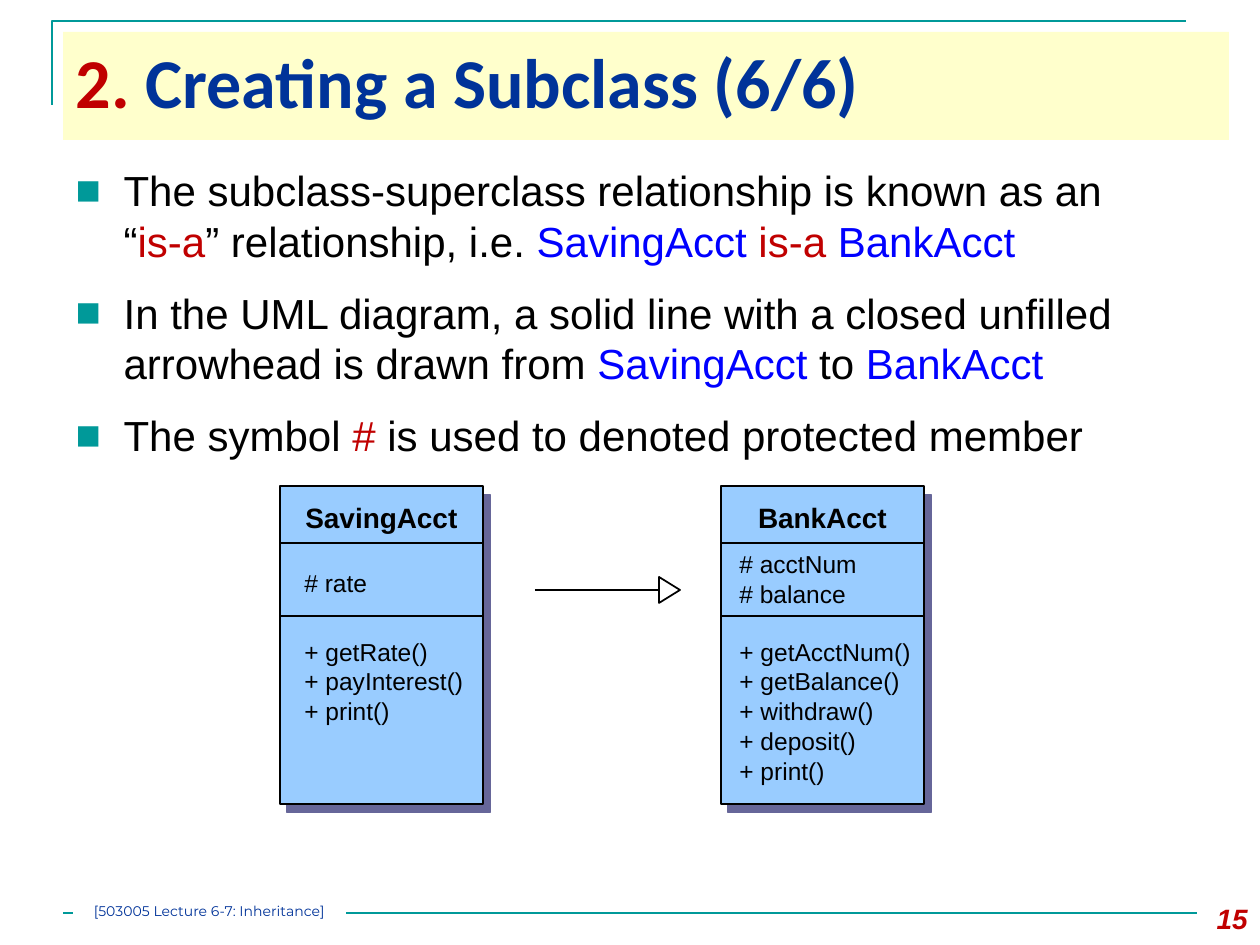
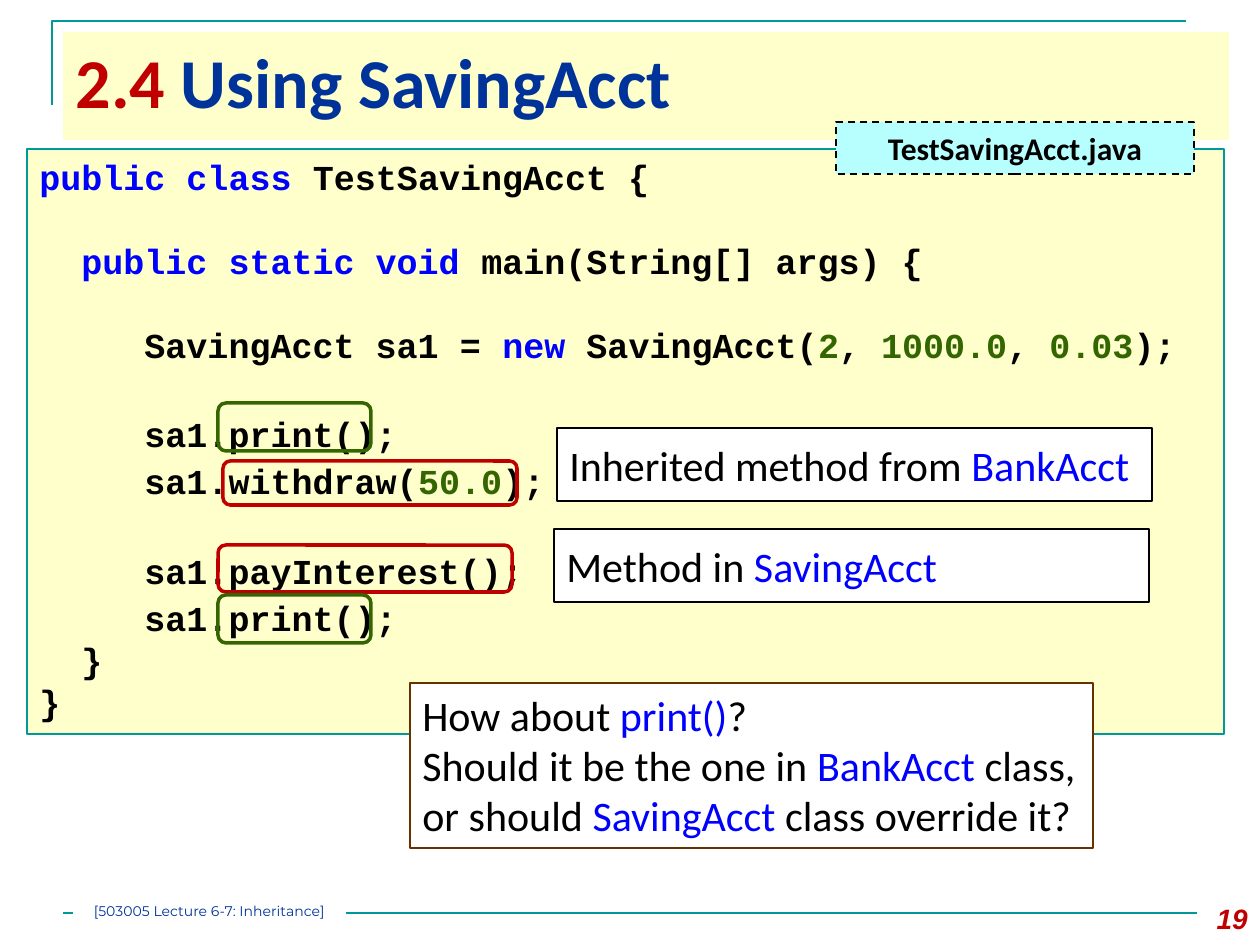
from dataclasses import dataclass

from lxml import etree
from pptx import Presentation
from pptx.dml.color import RGBColor
from pptx.enum.dml import MSO_LINE
from pptx.enum.shapes import MSO_CONNECTOR, MSO_SHAPE
from pptx.enum.text import MSO_ANCHOR, MSO_AUTO_SIZE, PP_ALIGN
from pptx.oxml.ns import qn
from pptx.util import Emu, Pt

RECT, ROUNDED, TRIANGLE = MSO_SHAPE.RECTANGLE, MSO_SHAPE.ROUNDED_RECTANGLE, MSO_SHAPE.ISOSCELES_TRIANGLE
STRAIGHT = MSO_CONNECTOR.STRAIGHT
DASH = MSO_LINE.DASH
LEFT, CENTER, RIGHT = PP_ALIGN.LEFT, PP_ALIGN.CENTER, PP_ALIGN.RIGHT
TOP, MIDDLE = MSO_ANCHOR.TOP, MSO_ANCHOR.MIDDLE
NO_AUTOFIT = MSO_AUTO_SIZE.NONE

PX_PER_INCH = 126
TITLE_AND_BODY, TITLE_ONLY = 1, 5


@dataclass(frozen=True)
class Type:
    font: str
    size: int
    bold: bool = False
    italic: bool = False
    leading: int = 0


@dataclass(frozen=True)
class Theme:
    black: str = "000000"
    white: str = "FFFFFF"
    teal: str = "009999"
    cream: str = "FFFFCC"
    navy: str = "003399"
    red: str = "C00000"
    blue: str = "0000FF"
    green: str = "336600"
    brown: str = "663300"
    sky: str = "99CCFF"
    aqua: str = "B7FFFF"
    shadow: str = "666699"
    title: Type = Type("Calibri", 40, bold=True)
    body: Type = Type("Arial", 24, leading=29)
    callout: Type = Type("Calibri", 24)
    file_tag: Type = Type("Calibri", 18, bold=True)
    code: Type = Type("Courier New", 20, bold=True, leading=24)
    class_name: Type = Type("Arial", 16, bold=True)
    member: Type = Type("Arial", 14, leading=17)
    footer: Type = Type("Montserrat", 8)
    page: Type = Type("Arial", 16, bold=True, italic=True)


T = Theme()


def px(*lengths):
    return [Emu(round(n * 914400 / PX_PER_INCH)) for n in lengths]


def rgb(color):
    return RGBColor.from_string(color)


def write_paragraph(p, runs, style, align=LEFT, before=0):
    """Fill a paragraph from plain strings (black) and (text, colour) pairs."""
    p.alignment = align
    p.space_before, p.space_after = Pt(before), Pt(0)
    if style.leading:
        p.line_spacing = Pt(style.leading)
    for run in runs:
        text, color = (run, T.black) if isinstance(run, str) else run
        r = p.add_run()
        r.text = text
        r.font.name, r.font.size = style.font, Pt(style.size)
        r.font.bold, r.font.italic = style.bold, style.italic
        r.font.color.rgb = rgb(color)


def write(tf, paragraphs, style, align=LEFT, anchor=TOP, wrap=True, gaps=None):
    """Write one list of runs per paragraph; gaps holds the points before each."""
    tf.word_wrap, tf.auto_size, tf.vertical_anchor = wrap, NO_AUTOFIT, anchor
    for i, runs in enumerate(paragraphs):
        p = tf.paragraphs[0] if i == 0 else tf.add_paragraph()
        write_paragraph(p, runs, style, align, gaps[i] if gaps else 0)


def add_text(slide, box, paragraphs, style, **layout):
    sp = slide.shapes.add_textbox(*px(*box))
    write(sp.text_frame, paragraphs, style, **layout)


def add_panel(slide, box, fill=None, line=None, width=1, kind=RECT):
    sp = slide.shapes.add_shape(kind, *px(*box))
    sp.shadow.inherit = False
    if fill:
        sp.fill.solid()
        sp.fill.fore_color.rgb = rgb(fill)
    else:
        sp.fill.background()
    if line:
        sp.line.color.rgb = rgb(line)
        sp.line.width = Pt(width)
    else:
        sp.line.fill.background()
    return sp


def add_line(slide, x1, y1, x2, y2, color, width):
    line = slide.shapes.add_connector(STRAIGHT, *px(x1, y1, x2, y2))
    line.line.color.rgb = rgb(color)
    line.line.width = Pt(width)
    etree.SubElement(line._element.spPr, qn("a:effectLst"))


def add_drop_shadow(sp):
    effects = sp._element.spPr.find(qn("a:effectLst"))
    shadow = etree.SubElement(effects, qn("a:outerShdw"), dist=str(Pt(6.4)),
                              dir=str(51 * 60000), algn="ctr", rotWithShape="0")
    etree.SubElement(shadow, qn("a:srgbClr"), val=T.shadow)


def add_bullet(p):
    pPr = p._p.get_or_add_pPr()
    indent = px(48)[0]
    pPr.set("marL", str(indent))
    pPr.set("indent", str(-indent))
    color = etree.SubElement(pPr, qn("a:buClr"))
    etree.SubElement(color, qn("a:srgbClr"), val=T.teal)
    etree.SubElement(pPr, qn("a:buFont"), typeface="Arial")
    etree.SubElement(pPr, qn("a:buChar"), char="■")


def place(sp, box):
    sp.left, sp.top, sp.width, sp.height = px(*box)


def add_corner_frame(slide):
    (x, y), (right, bottom) = px(52, 21), px(1186, 105)
    outline = slide.shapes.build_freeform(x, bottom)
    outline.add_line_segments([(x, y), (right, y)], close=False)
    sp = outline.convert_to_shape()
    sp.shadow.inherit = False
    sp.fill.background()
    sp.line.color.rgb = rgb(T.teal)
    sp.line.width = Pt(1.5)


def add_base_slide(prs, layout, number, heading, page):
    """Slide with the frame, title band, footer rule and page number."""
    slide = prs.slides.add_slide(prs.slide_layouts[layout])
    title = slide.shapes.title
    place(title, (63, 32, 1166, 108))
    title.fill.solid()
    title.fill.fore_color.rgb = rgb(T.cream)
    write(title.text_frame, [[(number + " ", T.red), (heading, T.navy)]], T.title)

    add_corner_frame(slide)
    add_line(slide, 63, 913, 1197, 913, T.teal, 1.5)
    label = add_panel(slide, (73, 903, 273, 23), T.white)
    tf = label.text_frame
    tf.margin_left = tf.margin_right = tf.margin_top = tf.margin_bottom = 0
    write(tf, [[("[503005 Lecture 6-7: Inheritance]", T.navy)]], T.footer, align=CENTER)
    add_text(slide, (1176, 895, 84, 50), [[(page, T.red)]], T.page, align=RIGHT)
    return slide


def add_bullets(slide, items):
    body = slide.placeholders[1]
    place(body, (63, 158, 1102, 724))
    tf = body.text_frame
    for _ in items[1:]:
        tf.add_paragraph()
    tf.word_wrap, tf.auto_size, tf.vertical_anchor = True, NO_AUTOFIT, TOP
    for i, (p, runs) in enumerate(zip(tf.paragraphs, items)):
        add_bullet(p)
        write_paragraph(p, runs, T.body, before=12 if i else 0)


def add_uml_class(slide, x, name, attributes, methods, text_x, attributes_y):
    top, width, height = 486, 203, 318
    add_drop_shadow(add_panel(slide, (x, top, width, height), T.sky, T.black, 0.75))
    for y in (543, 616):
        add_line(slide, x, y, x + width, y, T.black, 0.75)
    add_text(slide, (x, top + 8, width, 46), [[name]], T.class_name, align=CENTER)
    for y, members in ((attributes_y, attributes), (630, methods)):
        box = (text_x, y, x + width - text_x, 13 + 30 * len(members))
        add_text(slide, box, [[m] for m in members], T.member, wrap=False)


def add_inheritance_arrow(slide, x1, x2, y):
    base, height = 26, 21
    add_line(slide, x1, y, x2 - height, y, T.black, 1)
    head_box = (x2 - (height + base) / 2, y - height / 2, base, height)
    add_panel(slide, head_box, T.white, T.black, kind=TRIANGLE).rotation = 90


def add_code(slide, box, lines):
    """Write (points before, runs) lines of code in a framed panel."""
    gaps, runs = zip(*lines)
    sp = add_panel(slide, box, T.cream, T.teal, 0.75)
    write(sp.text_frame, runs, T.code, gaps=gaps)


def add_callout(slide, box, paragraphs, line=T.black, width=1, anchor=MIDDLE):
    sp = add_panel(slide, box, T.white, line, width)
    write(sp.text_frame, paragraphs, T.callout, anchor=anchor)


def build_subclass_slide(prs):
    slide = add_base_slide(prs, TITLE_AND_BODY, "2.", "Creating a Subclass (6/6)", "15")
    saving, bank = ("SavingAcct", T.blue), ("BankAcct", T.blue)
    add_bullets(slide, [
        ["The subclass-superclass relationship is known as an “", ("is-a", T.red),
         "” relationship, i.e. ", saving, (" is-a ", T.red), bank],
        ["In the UML diagram, a solid line with a closed unfilled arrowhead is drawn from ",
         saving, " to ", bank],
        ["The symbol ", ("#", T.red), " is used to denoted protected member"],
    ])
    add_uml_class(slide, 280, "SavingAcct", ["# rate"],
                  ["+ getRate()", "+ payInterest()", "+ print()"], 292, 561)
    add_uml_class(slide, 721, "BankAcct", ["# acctNum", "# balance"],
                  ["+ getAcctNum()", "+ getBalance()", "+ withdraw()", "+ deposit()", "+ print()"],
                  727, 543)
    add_inheritance_arrow(slide, 535, 680, 590)


def build_usage_slide(prs):
    slide = add_base_slide(prs, TITLE_ONLY, "2.4", "Using SavingAcct", "19")
    blank, step = T.code.leading, 3
    add_code(slide, (27, 149, 1197, 585), [
        (0, [("public class", T.blue), " TestSavingAcct {"]),
        (blank, [("  public static void ", T.blue), "main(String[] args) {"]),
        (blank, ["     SavingAcct sa1 = ", ("new", T.blue), " SavingAcct(", ("2", T.green),
                 ", ", ("1000.0", T.green), ", ", ("0.03", T.green), ");"]),
        (blank + step, ["     sa1.print();"]),
        (step, ["     sa1.withdraw(", ("50.0", T.green), ");"]),
        (blank + step, ["     sa1.payInterest();"]),
        (step, ["     sa1.print();"]),
        (0, ["  }"]),
        (0, ["}"]),
    ])
    tag = add_panel(slide, (836, 122, 358, 52), T.aqua, T.black)
    tag.line.dash_style = DASH
    write(tag.text_frame, [["TestSavingAcct.java"]], T.file_tag, align=CENTER, anchor=MIDDLE)

    saving, bank = ("SavingAcct", T.blue), ("BankAcct", T.blue)
    add_callout(slide, (557, 428, 595, 73), [["Inherited method from ", bank]])
    add_callout(slide, (554, 529, 595, 73), [["Method in ", saving]])
    add_callout(slide, (410, 683, 683, 165), [
        ["How about ", ("print()", T.blue), "?"],
        ["Should it be the one in ", bank, " class, or should ", saving, " class override it?"],
    ], T.brown, 0.75, TOP)

    for box, color in (((223, 461, 294, 44), T.red), ((218, 545, 294, 47), T.red),
                       ((218, 403, 153, 48), T.green), ((218, 595, 153, 48), T.green)):
        add_panel(slide, box, line=color, width=2, kind=ROUNDED)


def main():
    prs = Presentation()
    prs.slide_width, prs.slide_height = px(1260, 945)
    build_subclass_slide(prs)
    build_usage_slide(prs)
    prs.save("out.pptx")


if __name__ == "__main__":
    main()
